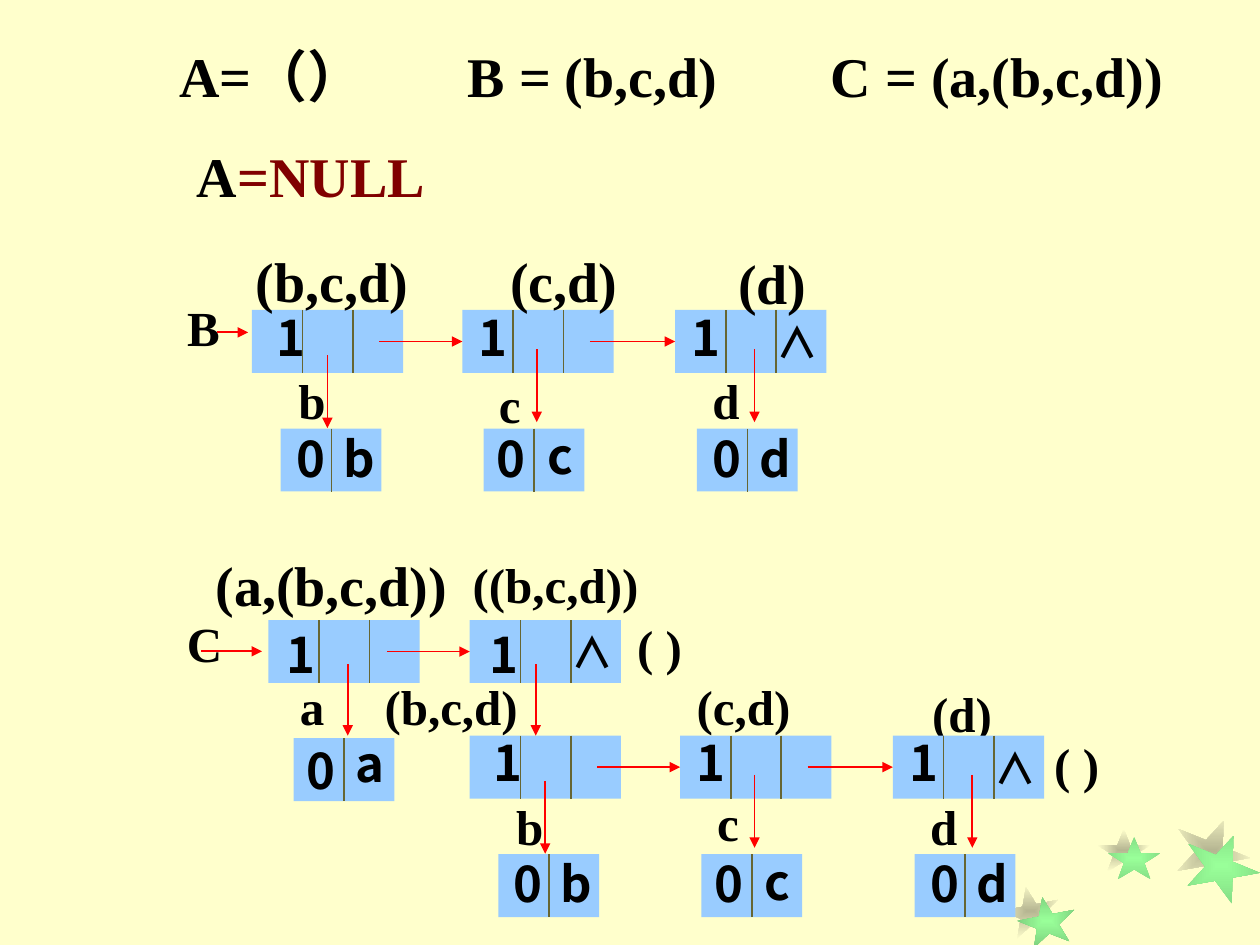
from dataclasses import dataclass

from lxml.etree import SubElement
from pptx import Presentation
from pptx.dml.color import RGBColor
from pptx.enum.shapes import MSO_CONNECTOR, MSO_SHAPE
from pptx.enum.text import MSO_AUTO_SIZE, PP_ALIGN
from pptx.oxml.ns import qn
from pptx.util import Cm, Pt


@dataclass(frozen=True)
class Theme:
    background: str = "FFFFCC"
    ink: str = "000000"
    null: str = "800000"
    cell: str = "99CCFF"
    divider: str = "666633"
    pointer: str = "FF0000"
    star: str = "99FF99"
    star_shadow: str = "B6B692"
    serif: str = "Times New Roman"
    sans: str = "Noto Sans CJK SC"
    large: int = 32
    medium: int = 28
    small: int = 24


THEME = Theme()
FIELD = 1.02
NODE_WIDTH = 3.05
ATOM_WIDTH = 2.03
CELL_HEIGHT = 1.27
MARK_WIDTH = 1.19
LABEL_HEIGHT = 1.45


def rgb(value):
    return RGBColor.from_string(value)


def add_label(shapes, text, left, top, width, height=LABEL_HEIGHT, size=THEME.medium,
              font=THEME.serif, align=PP_ALIGN.CENTER, wrap=True, margin=0.13):
    box = shapes.add_textbox(Cm(left), Cm(top), Cm(width), Cm(height))
    frame = box.text_frame
    frame.word_wrap = wrap
    frame.auto_size = MSO_AUTO_SIZE.SHAPE_TO_FIT_TEXT
    frame.margin_top = frame.margin_bottom = Cm(margin)
    frame.text = text
    paragraph = frame.paragraphs[0]
    paragraph.alignment = align
    for run in paragraph.runs:
        format_run(run, size, font)
    return paragraph


def format_run(run, size, font=THEME.serif, color=THEME.ink):
    run.font.size = Pt(size)
    run.font.bold = True
    run.font.name = font
    run.font.color.rgb = rgb(color)
    SubElement(run.font._element, qn("a:ea"), typeface=THEME.sans)


def add_caption(shapes, text, left, top, width, wrap=True):
    """Large label above a node, naming the sublist that starts there."""
    add_label(shapes, text, left, top, width, 1.96, THEME.large,
              align=PP_ALIGN.RIGHT, wrap=wrap, margin=0.3)


def add_mark(shapes, text, left, top, height=LABEL_HEIGHT, size=THEME.medium):
    """Tag, value or end sign inside a cell."""
    add_label(shapes, text, left, top, MARK_WIDTH, height, size, THEME.sans, PP_ALIGN.RIGHT)


def add_line(shapes, x1, y1, x2, y2, color):
    line = shapes.add_connector(MSO_CONNECTOR.STRAIGHT, Cm(x1), Cm(y1), Cm(x2), Cm(y2))
    line.line.color.rgb = rgb(color)
    line.line.width = Pt(1)
    SubElement(line._element.spPr, qn("a:effectLst"))
    return line


def add_pointer(shapes, x1, y1, x2, y2):
    arrow = add_line(shapes, x1, y1, x2, y2, THEME.pointer)
    SubElement(arrow.line._get_or_add_ln(), qn("a:tailEnd"), type="triangle")
    return arrow


def add_cells(shapes, left, top, width, fields):
    block = shapes.add_shape(MSO_SHAPE.RECTANGLE, Cm(left), Cm(top), Cm(width), Cm(CELL_HEIGHT))
    block.shadow.inherit = False
    block.fill.solid()
    block.fill.fore_color.rgb = rgb(THEME.cell)
    block.line.fill.background()
    for index in range(1, fields):
        x = left + index * FIELD
        add_line(shapes, x, top, x, top + CELL_HEIGHT, THEME.divider)
    return block


def add_node(shapes, left, top, tag_dx=-0.03, tag_dy=-0.19, last=False):
    node = add_cells(shapes, left, top, NODE_WIDTH, 3)
    add_mark(shapes, "1", left + tag_dx, top + tag_dy)
    if last:
        add_mark(shapes, "∧", left + 1.8, top, CELL_HEIGHT, THEME.small)
    return node


def add_atom(shapes, left, top, value, tag_at=(-0.05, -0.14), value_at=(0.95, -0.14)):
    add_cells(shapes, left, top, ATOM_WIDTH, 2)
    for text, (dx, dy) in (("0", tag_at), (value, value_at)):
        add_mark(shapes, text, left + dx, top + dy)


def link_next(shapes, x, y, node, node_left):
    arrow = add_pointer(shapes, x, y, node_left, y)
    arrow.end_connect(node, 1)


def add_bcd_chain(shapes, left, top):
    """The list (b,c,d): three linked nodes, each pointing down to its atom."""
    node_lefts = [left, left + 4.24, left + 8.53]
    nodes = [add_node(shapes, x, top, tag_dx, last=x == node_lefts[-1])
             for x, tag_dx in zip(node_lefts, (0.13, -0.03, -0.03))]
    for start, end, node in zip(node_lefts, node_lefts[1:], nodes[1:]):
        link_next(shapes, start + 2.57, top + CELL_HEIGHT / 2, node, end)

    atom_top = top + 2.39
    add_atom(shapes, left + 0.58, atom_top, "b")
    add_atom(shapes, left + 4.67, atom_top, "c", (-0.1, -0.14), (0.86, -0.19))
    add_atom(shapes, left + 8.97, atom_top, "d")
    for dx, dy in ((1.52, 0.91), (5.74, 0.79), (10.13, 0.79)):
        add_pointer(shapes, left + dx, top + dy, left + dx, top + dy + 1.47)


def add_star(shapes, left, top, width, height, rotation, center, edge):
    star = shapes.add_shape(MSO_SHAPE.STAR_5_POINT, Cm(left), Cm(top), Cm(width), Cm(height))
    star.rotation = rotation
    star.shadow.inherit = False
    star.line.fill.background()
    star.fill.gradient()
    for stop, color in zip(star.fill.gradient_stops, (center, edge)):
        stop.color.rgb = rgb(color)
    gradient = star._element.spPr.find(qn("a:gradFill"))
    gradient.remove(gradient.find(qn("a:lin")))
    shading = SubElement(gradient, qn("a:path"), path="shape")
    SubElement(shading, qn("a:fillToRect"), l="50000", t="50000", r="50000", b="50000")


def add_stars(shapes):
    for left, top, dx, dy, width, height, rotation, edge in (
            (20.19, 17.88, 0.33, 0.2, 1.17, 0.97, 349, "7BCC7B"),
            (22.12, 16.71, 0.21, 0.16, 1.07, 0.86, 0, "86DF86"),
            (23.65, 16.51, 0.2, 0.3, 1.55, 1.27, 22, "83DA83")):
        add_star(shapes, left, top, width, height, rotation, THEME.star_shadow, THEME.background)
        add_star(shapes, left + dx, top + dy, width, height, rotation, THEME.star, edge)


def add_definitions(shapes):
    null = add_label(shapes, "A", 3.51, 2.72, 5.31, 1.6, THEME.large, align=PP_ALIGN.RIGHT)
    value = null.add_run()
    value.text = "=NULL"
    format_run(value, THEME.large, color=THEME.null)

    lists = add_label(shapes, "\tA=（）\tB = (b,c,d)\tC = (a,(b,c,d))", 0, 0.71, 25.4, 1.6,
                      THEME.large, align=PP_ALIGN.LEFT)
    tabs = SubElement(lists._p.get_or_add_pPr(), qn("a:tabLst"))
    for position in (3.37, 9.18, 16.5):
        SubElement(tabs, qn("a:tab"), pos=str(Cm(position)), algn="l")


def add_list_b(shapes):
    add_label(shapes, "B", 3.38, 5.87, 1.3, align=PP_ALIGN.RIGHT)
    add_pointer(shapes, 4.37, 6.7, 5, 6.7)
    for text, left, top, width in (("b", 5.59, 7.34, 1.4), ("c", 9.6, 7.42, 1.35),
                                   ("d", 14, 7.34, 1.27)):
        add_label(shapes, text, left, top, width)
    add_bcd_chain(shapes, 5.08, 6.25)


def add_list_c(shapes):
    for text, left, top, width in (
            ("a", 5.59, 13.51, 1.4), ("((b,c,d))", 8.51, 11.05, 5.38),
            ("(b,c,d)", 7.19, 13.51, 3.81), ("b", 9.98, 15.93, 1.4),
            ("(c,d)", 13.49, 13.51, 3), ("c", 14, 15.85, 1.35),
            ("(d)", 18.29, 13.64, 2.21), ("d", 18.39, 15.93, 1.27),
            ("( )", 20.7, 14.68, 2.01), ("( )", 12.29, 12.29, 2.01)):
        add_label(shapes, text, left, top, width)
    add_label(shapes, "C", 3.38, 12.24, 1.35, align=PP_ALIGN.RIGHT)
    add_pointer(shapes, 4.06, 13.13, 5.28, 13.13)

    top, second_left = 12.5, 9.47
    add_node(shapes, 5.41, top, 0, -0.05)
    second = add_node(shapes, second_left, top, 0.03, -0.05, last=True)
    link_next(shapes, 7.8, top + CELL_HEIGHT / 2, second, second_left)
    add_atom(shapes, 5.92, 14.88, "a", (-0.1, -0.08), (0.89, -0.22))
    add_bcd_chain(shapes, second_left, 14.83)
    for x in (7.01, 10.8):
        add_pointer(shapes, x, 13.39, x, 14.83)
    add_caption(shapes, "(a,(b,c,d))", 4.09, 10.8, 5.18, wrap=False)


def main():
    presentation = Presentation()
    presentation.slide_width, presentation.slide_height = Cm(25.4), Cm(19.05)
    slide = presentation.slides.add_slide(presentation.slide_layouts[6])
    slide.background.fill.solid()
    slide.background.fill.fore_color.rgb = rgb(THEME.background)
    shapes = slide.shapes

    add_stars(shapes)
    add_definitions(shapes)
    add_list_b(shapes.add_group_shape().shapes)
    add_caption(shapes, "(c,d)", 9.09, 4.67, 3.61)
    add_caption(shapes, "(d)", 14.1, 4.72, 2.41)
    add_caption(shapes, "(b,c,d)", 4.9, 4.67, 3.58, wrap=False)
    add_list_c(shapes.add_group_shape().shapes)
    presentation.save("out.pptx")


if __name__ == "__main__":
    main()
